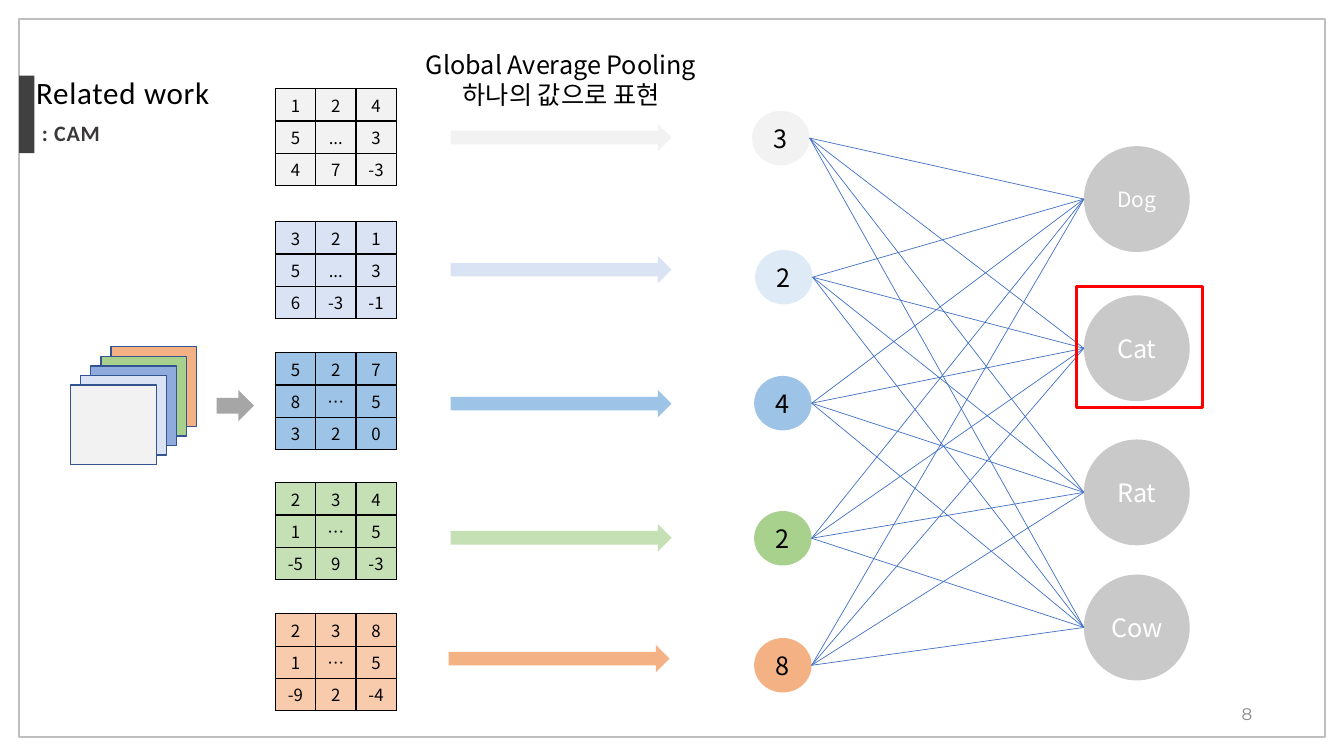
from lxml import etree
from pptx import Presentation
from pptx.dml.color import RGBColor
from pptx.enum.shapes import MSO_CONNECTOR, MSO_SHAPE
from pptx.enum.text import MSO_ANCHOR, PP_ALIGN
from pptx.oxml.ns import qn
from pptx.util import Inches, Pt

RECT, OVAL, ARROW = MSO_SHAPE.RECTANGLE, MSO_SHAPE.OVAL, MSO_SHAPE.RIGHT_ARROW
LEFT, CENTER, RIGHT = PP_ALIGN.LEFT, PP_ALIGN.CENTER, PP_ALIGN.RIGHT
TOP, MIDDLE = MSO_ANCHOR.TOP, MSO_ANCHOR.MIDDLE
NOTO, CALIBRI, MONTSERRAT = "Noto Sans CJK KR", "Calibri", "Montserrat"

# Content
HEADING = ["Global Average Pooling", "하나의 값으로 표현"]

# Feature maps: values, table top, table fill
FEATURE_MAPS = [
    (["1 2 4", "5 ... 3", "4 7 -3"], 0.88, "F2F2F2"),
    (["3 2 1", "5 ... 3", "6 -3 -1"], 2.2, "DAE3F3"),
    (["5 2 7", "8 … 5", "3 2 0"], 3.5, "9DC3E6"),
    (["2 3 4", "1 … 5", "-5 9 -3"], 4.79, "C5E0B4"),
    (["2 3 8", "1 … 5", "-9 2 -4"], 6.09, "F8CBAD"),
]
# Pooling arrows: left, top, fill
POOL_ARROWS = [(4.47, 1.23, "F2F2F2"), (4.47, 2.54, "DAE3F3"), (4.47, 3.87, "9DC3E6"),
               (4.47, 5.2, "C5E0B4"), (4.45, 6.4, "F4B183")]
# Pooled values: text, left, top, fill
POOLED = [("3", 7.46, 1.1, "F2F2F2"), ("2", 7.49, 2.48, "DEEBF7"), ("4", 7.48, 3.73, "9DC3E6"),
          ("2", 7.48, 5.07, "A9D18E"), ("8", 7.48, 6.33, "F4B183")]
# Classes: text, top, text size
CLASSES = [("Dog", 1.45, 15), ("Cat", 2.93, 18), ("Rat", 4.36, 18), ("Cow", 5.7, 18)]
# Stacked feature maps, back to front
STACK_FILLS = ["F4B183", "A9D18E", "8FAADC", "DAE3F3", "F2F2F2"]

# Layout, in inches
SLIDE_W, SLIDE_H = 13.33, 7.5
MARGIN = 0.19
MAP_LEFT, MAP_CELL_W, MAP_CELL_H = 2.73, 0.4, 0.32
POOLED_W, POOLED_H = 0.57, 0.54
CLASS_LEFT, CLASS_SIZE = 10.75, 1.05
STACK_LEFT, STACK_TOP, STACK_STEP = 1.1, 3.44, 0.1

prs = Presentation()
prs.slide_width, prs.slide_height = Inches(SLIDE_W), Inches(SLIDE_H)
slide = prs.slides.add_slide(prs.slide_layouts[6])


def rgb(color):
    return RGBColor.from_string(color)


def add_text(paragraph, text, size, color="000000", font=NOTO, bold=False, align=CENTER, spacing=0):
    paragraph.alignment = align
    run = paragraph.add_run()
    run.text = text
    run.font.size, run.font.name, run.font.bold = Pt(size), font, bold
    run.font.color.rgb = rgb(color)
    properties = run._r.get_or_add_rPr()
    if spacing:
        properties.set("spc", str(int(spacing * 100)))
    etree.SubElement(properties, qn("a:ea")).set("typeface", font)


def add_part(kind, left, top, width, height, fill=None, line=None, line_width=1):
    part = slide.shapes.add_shape(kind, Inches(left), Inches(top), Inches(width), Inches(height))
    part.shadow.inherit = False
    if fill:
        part.fill.solid()
        part.fill.fore_color.rgb = rgb(fill)
    else:
        part.fill.background()
    if line:
        part.line.color.rgb = rgb(line)
        part.line.width = Pt(line_width)
    else:
        part.line.fill.background()
    return part


def add_node(text, left, top, width, height, fill, size, color):
    frame = add_part(OVAL, left, top, width, height, fill).text_frame
    frame.margin_left = frame.margin_right = frame.margin_top = frame.margin_bottom = 0
    frame.vertical_anchor = MIDDLE
    add_text(frame.paragraphs[0], text, size, color)


def add_box(left, top, width, height, wrap=True):
    frame = slide.shapes.add_textbox(Inches(left), Inches(top), Inches(width), Inches(height)).text_frame
    frame.word_wrap = wrap
    frame.vertical_anchor = TOP
    return frame


def style_cell(cell, text, fill):
    cell.margin_top = cell.margin_bottom = 0
    cell.vertical_anchor = MIDDLE
    add_text(cell.text_frame.paragraphs[0], text, 12)
    properties = cell._tc.get_or_add_tcPr()
    for side in ("a:lnL", "a:lnR", "a:lnT", "a:lnB"):
        border = etree.SubElement(properties, qn(side), w=str(Pt(1)))
        solid = etree.SubElement(border, qn("a:solidFill"))
        etree.SubElement(solid, qn("a:srgbClr"), val="000000")
    cell.fill.solid()
    cell.fill.fore_color.rgb = rgb(fill)


def add_feature_map(rows, top, fill):
    values = [row.split() for row in rows]
    count = len(values)
    table = slide.shapes.add_table(count, count, Inches(MAP_LEFT), Inches(top),
                                   Inches(count * MAP_CELL_W), Inches(count * MAP_CELL_H)).table
    for r, row in enumerate(values):
        table.rows[r].height = Inches(MAP_CELL_H)
        table.columns[r].width = Inches(MAP_CELL_W)
        for c, value in enumerate(row):
            style_cell(table.cell(r, c), value, fill)


def add_link(x1, y1, x2, y2):
    link = slide.shapes.add_connector(MSO_CONNECTOR.STRAIGHT, Inches(x1), Inches(y1), Inches(x2), Inches(y2))
    link.line.color.rgb = rgb("4472C4")
    link.line.width = Pt(0.5)
    etree.SubElement(link._element.spPr, qn("a:effectLst"))


# Page frame, accent bar and title
add_part(RECT, MARGIN, MARGIN, SLIDE_W - 2 * MARGIN, SLIDE_H - 2 * MARGIN, line="BFBFBF")
add_part(RECT, MARGIN, 0.75, 0.15, 0.77, "404040")
title = add_box(0.26, 0.75, 2.99, 0.77)
add_text(title.paragraphs[0], "Related work", 22.2, font=CALIBRI, align=LEFT, spacing=0.5)
add_text(title.add_paragraph(), " : CAM", 15.7, "3B3838", CALIBRI, True, LEFT, 0.5)
for paragraph in title.paragraphs:
    paragraph.line_spacing, paragraph.space_before = 0.8, Pt(10)

# Page number
page_number = add_box(9.42, 6.95, 3, 0.23)
page_number.margin_left = page_number.margin_right = page_number.margin_bottom = 0
page_number.margin_top = Inches(0.03)
page_number.paragraphs[0].space_before = Pt(2)
add_text(page_number.paragraphs[0], "8", 12, "898989", MONTSERRAT, align=RIGHT, spacing=-1.4)

# Stack of feature maps and its arrow
for i, fill in enumerate(STACK_FILLS):
    add_part(RECT, STACK_LEFT - i * STACK_STEP, STACK_TOP + i * STACK_STEP * 0.95, 0.85, 0.79, fill, "325491")
add_part(ARROW, 2.15, 3.87, 0.37, 0.31, "A6A6A6")

# Feature maps and pooling arrows
for rows, top, fill in FEATURE_MAPS:
    add_feature_map(rows, top, fill)
for left, top, fill in POOL_ARROWS:
    add_part(ARROW, left, top, 2.19, 0.27, fill)

# Pooled values and classes
for text, left, top, fill in POOLED:
    add_node(text, left, top, POOLED_W, POOLED_H, fill, 18, "000000")
for text, top, size in CLASSES:
    add_node(text, CLASS_LEFT, top, CLASS_SIZE, CLASS_SIZE, "C9C9C9", size, "FFFFFF")

# Every pooled value links to every class
for _, left, top, _ in POOLED:
    for _, class_top, _ in CLASSES:
        add_link(left + POOLED_W, top + POOLED_H / 2, CLASS_LEFT, class_top + CLASS_SIZE / 2)

# Predicted class
add_part(RECT, 10.68, 2.84, 1.25, 1.2, line="FF0000", line_width=2.25)

# Pooling heading
heading = add_box(4.12, 0.43, 2.89, 0.71, wrap=False)
for i, text in enumerate(HEADING):
    paragraph = heading.add_paragraph() if i else heading.paragraphs[0]
    paragraph.line_spacing = Pt(22)
    add_text(paragraph, text, 18)

prs.save("out.pptx")
